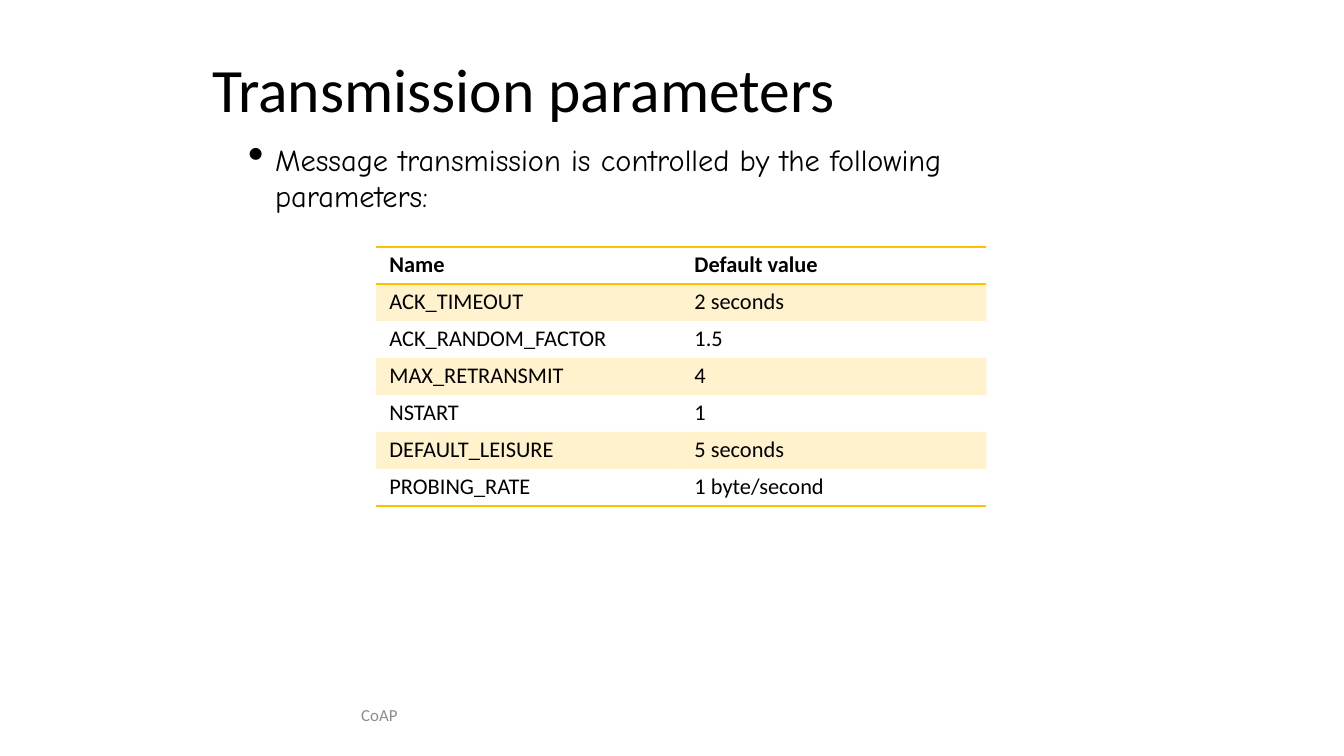
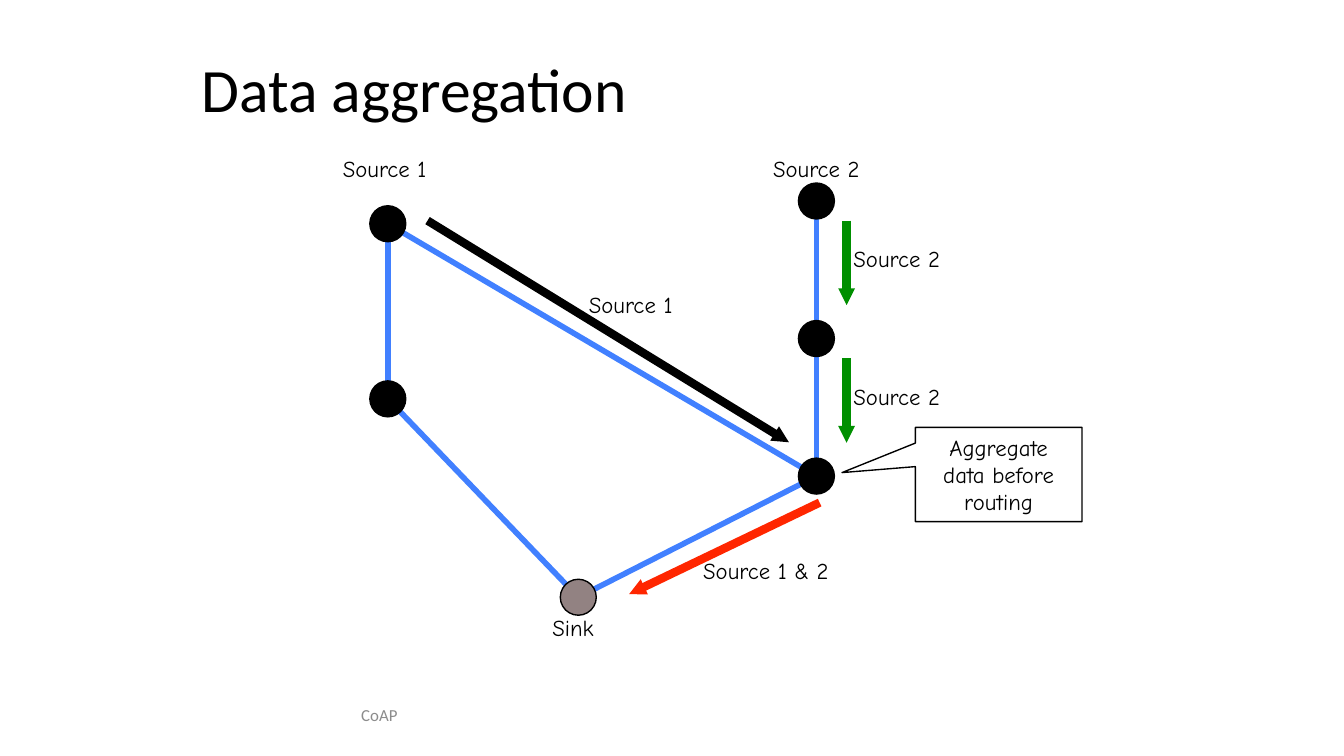
from lxml import etree
from pptx import Presentation
from pptx.dml.color import RGBColor
from pptx.enum import shapes, text
from pptx.oxml import ns
from pptx.util import Cm, Pt

COLORS = {
    "ink": "000000",
    "paper": "FFFFFF",
    "footer": "8C8C8C",
    "gold": "FFC000",
    "link": "4180FF",
    "green": "008F00",
    "red": "FF2600",
    "sink": "928282",
}
COLORS = {name: RGBColor.from_string(value) for name, value in COLORS.items()}
BODY_FONT, HAND_FONT = "Calibri", "Comic Neue"
LABEL_SIZE = 12.2
NO_STYLE = "{2D5ABB26-0587-4C30-8999-92F81FD0307C}"


def add_text(slide, content, box, size, font, color="ink", inset=(0, 0), middle=False):
    """Add a text box; inset is (left, top). Return its paragraph."""
    shape = slide.shapes.add_textbox(*(Cm(length) for length in box))
    frame = shape.text_frame
    frame.word_wrap = True
    frame.margin_left, frame.margin_top = Cm(inset[0]), Cm(inset[1])
    frame.margin_right = frame.margin_bottom = 0
    if middle:
        frame.vertical_anchor = text.MSO_ANCHOR.MIDDLE
    paragraph = frame.paragraphs[0]
    paragraph.text = content
    paragraph.font.size = Pt(size)
    paragraph.font.name = font
    paragraph.font.color.rgb = COLORS[color]
    return paragraph


def add_line(slide, start, end, color, width, arrow=False):
    """Draw a straight line between two points."""
    connector = slide.shapes.add_connector(
        shapes.MSO_CONNECTOR.STRAIGHT, *(Cm(length) for length in start + end))
    connector.line.color.rgb = COLORS[color]
    connector.line.width = Pt(width)
    properties = connector._element.spPr
    if arrow:
        etree.SubElement(properties.find(ns.qn("a:ln")), ns.qn("a:tailEnd"),
                         type="triangle", w="sm", len="sm")
    etree.SubElement(properties, ns.qn("a:effectLst"))


presentation = Presentation()
presentation.slide_width, presentation.slide_height = Cm(25.4), Cm(14.29)

# Title and footer of every slide
slides = []
for title, indent in (("Transmission parameters", 0.23), ("Data aggregation", 0.03)):
    slide = presentation.slides.add_slide(presentation.slide_layouts[6])
    add_text(slide, title, (3.78, 0.53, 14.91, 1.85), 33, BODY_FONT,
             inset=(indent, 0.43), middle=True)
    footer = add_text(slide, "CoAP", (4.67, 13.08, 5, 0.81), 9, BODY_FONT, "footer",
                      inset=(0, 0.05), middle=True)
    footer.alignment = text.PP_ALIGN.CENTER
    slides.append(slide)
parameters_slide, aggregation_slide = slides

# Slide 1: introduction with a bullet
intro = add_text(
    parameters_slide,
    "Message transmission is controlled by the following parameters:",
    (4.67, 2.64, 14.35, 1.42), 16.3, HAND_FONT, inset=(0, 0.05))
intro.line_spacing = Pt(19.1)
intro_properties = intro._p.get_or_add_pPr()
intro_properties.set("marL", str(Cm(0.53)))
intro_properties.set("indent", str(Cm(-0.51)))
bullet_size = etree.Element(ns.qn("a:buSzPct"), val="150000")
bullet = etree.Element(ns.qn("a:buChar"), char="•")
intro_properties.find(ns.qn("a:lnSpc")).addnext(bullet_size)
bullet_size.addnext(bullet)

# Slide 1: table of parameters
rows = [
    ("Name", "Default value"),
    ("ACK_TIMEOUT", "2 seconds"),
    ("ACK_RANDOM_FACTOR", "1.5"),
    ("MAX_RETRANSMIT", "4"),
    ("NSTART", "1"),
    ("DEFAULT_LEISURE", "5 seconds"),
    ("PROBING_RATE", "1 byte/second"),
]
table_shape = parameters_slide.shapes.add_table(
    len(rows), 2, Cm(7.11), Cm(4.67), Cm(11.53), Cm(0.7 * len(rows)))
table = table_shape.table
table.first_row = table.horz_banding = False
next(table_shape._element.iter(ns.qn("a:tableStyleId"))).text = NO_STYLE
borders = {0: ("lnT", "lnB"), len(rows) - 1: ("lnB",)}

for row_number, row in enumerate(rows):
    table.rows[row_number].height = Cm(0.7)
    for column_number, content in enumerate(row):
        cell = table.cell(row_number, column_number)
        cell.margin_left, cell.margin_top = Cm(0.25), Cm(0.08)
        cell.margin_right = cell.margin_bottom = 0
        paragraph = cell.text_frame.paragraphs[0]
        paragraph.text = content
        paragraph.font.size = Pt(12)
        paragraph.font.name = BODY_FONT
        paragraph.font.bold = row_number == 0
        paragraph.font.color.rgb = COLORS["ink"]
        cell_properties = cell._tc.get_or_add_tcPr()
        if row_number % 2:
            cell.fill.solid()
            cell.fill.fore_color.rgb = COLORS["gold"]
            tint = next(cell_properties.iter(ns.qn("a:srgbClr")))
            etree.SubElement(tint, ns.qn("a:alpha"), val="20000")
        else:
            cell.fill.background()
        for position, side in enumerate(borders.get(row_number, ())):
            border = etree.Element(ns.qn(f"a:{side}"), w=str(Pt(1)))
            border_fill = etree.SubElement(border, ns.qn("a:solidFill"))
            etree.SubElement(border_fill, ns.qn("a:srgbClr"), val=str(COLORS["gold"]))
            cell_properties.insert(position, border)

# Slide 2: links between node centres, drawn behind the nodes
HOP = 2.6
nodes = {
    "source 1": (7.33, 4.23),
    "source 2": (15.43, 3.8),
    "left relay": (7.33, 7.54),
    "right relay": (15.43, 3.8 + HOP),
    "aggregator": (15.43, 3.8 + 2 * HOP),
    "sink": (10.93, 11.29),
}
links = [
    ("source 1", "left relay"),
    ("left relay", "sink"),
    ("source 2", "aggregator"),
    ("aggregator", "sink"),
    ("source 1", "aggregator"),
]
for start, end in links:
    add_line(aggregation_slide, nodes[start], nodes[end], "link", 3)

# Slide 2: nodes
DIAMETER = 0.68
for name, (x, y) in nodes.items():
    node = aggregation_slide.shapes.add_shape(
        shapes.MSO_SHAPE.OVAL, Cm(x - DIAMETER / 2), Cm(y - DIAMETER / 2),
        Cm(DIAMETER), Cm(DIAMETER))
    node.shadow.inherit = False
    node.fill.solid()
    node.fill.fore_color.rgb = COLORS["sink" if name == "sink" else "ink"]
    node.line.color.rgb = COLORS["ink"]
    node.line.width = Pt(0.75)

# Slide 2: data flows
flows = [
    ((8.08, 4.17), (14.91, 8.36), "ink"),
    ((16, 4.17), (16, 5.77), "green"),
    ((16, 4.17 + HOP), (16, 5.77 + HOP), "green"),
    ((15.49, 9.5), (11.89, 11.23), "red"),
]
for start, end, color in flows:
    add_line(aggregation_slide, start, end, color, 4.5, arrow=True)

# Slide 2: labels
labels = [
    ("Source 1", 6.45, 2.9),
    ("Source 2", 14.58, 2.9),
    ("Source 1", 11.1, 5.46),
    ("Source 2", 16.1, 4.6),
    ("Source 2", 16.1, 4.6 + HOP),
    ("Source 1 & 2", 13.26, 10.49),
    ("Sink", 10.41, 11.58),
]
for label, left, top in labels:
    add_text(aggregation_slide, label, (left, top, 2.6, 0.56), LABEL_SIZE, HAND_FONT,
             inset=(0.03, 0.03))

# Slide 2: callout at the aggregator
callout = aggregation_slide.shapes.add_shape(
    shapes.MSO_SHAPE.RECTANGULAR_CALLOUT, Cm(17.3), Cm(8.08), Cm(3.15), Cm(1.78))
callout.adjustments[0], callout.adjustments[1] = -0.94, -0.02
callout.shadow.inherit = False
callout.fill.solid()
callout.fill.fore_color.rgb = COLORS["paper"]
callout.line.color.rgb = COLORS["ink"]
callout.line.width = Pt(0.75)
frame = callout.text_frame
frame.word_wrap = True
frame.margin_left = frame.margin_right = Cm(0.36)
frame.margin_top = frame.margin_bottom = 0
frame.vertical_anchor = text.MSO_ANCHOR.MIDDLE
paragraph = frame.paragraphs[0]
paragraph.text = "Aggregate data before routing"
paragraph.alignment = text.PP_ALIGN.CENTER
paragraph.font.size = Pt(LABEL_SIZE)
paragraph.font.name = HAND_FONT
paragraph.font.color.rgb = COLORS["ink"]

presentation.save("out.pptx")
